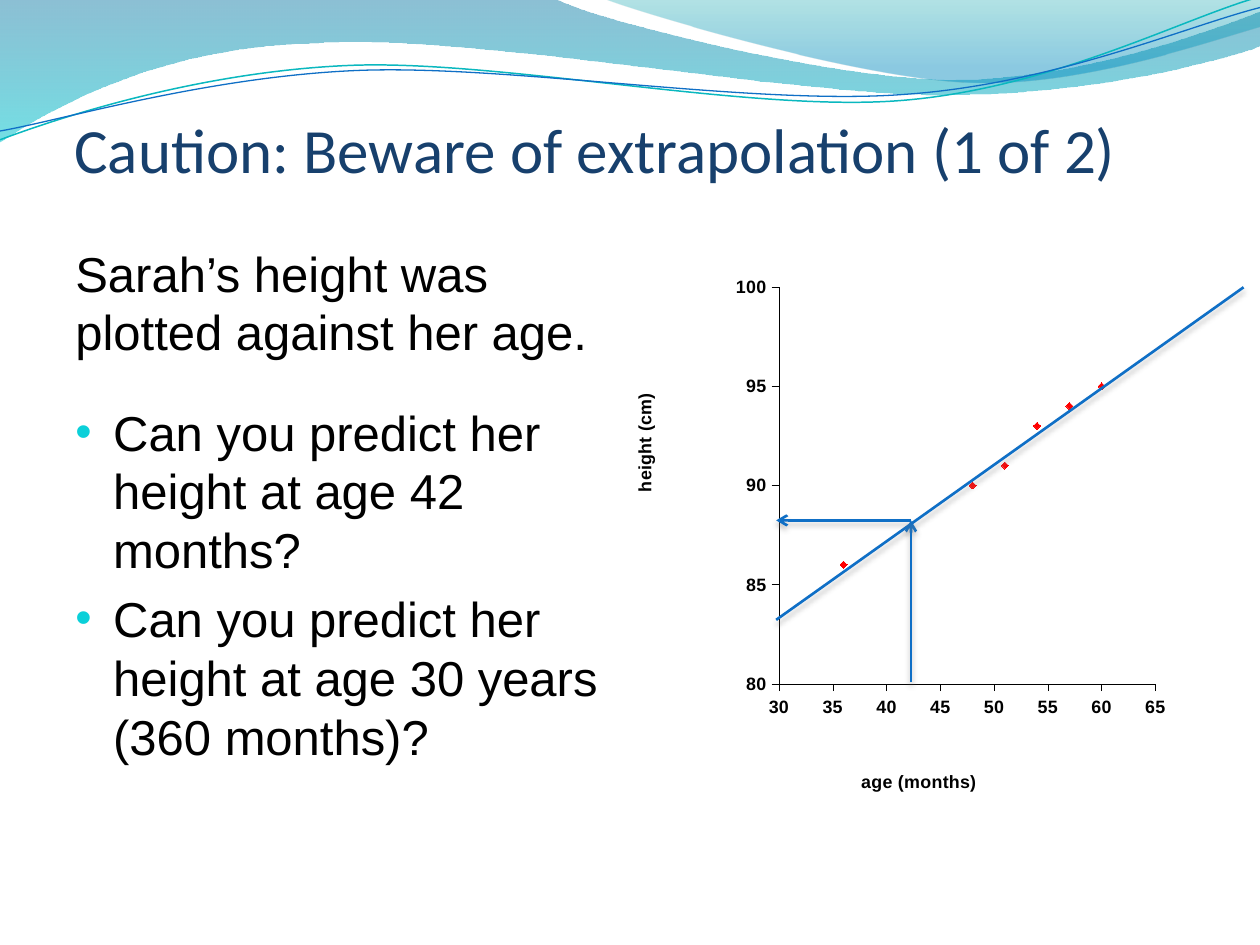
from lxml.etree import SubElement
from pptx import Presentation
from pptx.chart.data import XyChartData
from pptx.dml.color import RGBColor
from pptx.enum.chart import XL_CHART_TYPE, XL_MARKER_STYLE, XL_TICK_MARK
from pptx.enum.shapes import MSO_CONNECTOR
from pptx.enum.text import MSO_ANCHOR
from pptx.oxml import parse_xml
from pptx.oxml.ns import nsdecls, qn
from pptx.util import Inches, Pt

COLORS = {
    "title": "17406D", "text": "000000", "bullet": "0BD0D9", "line": "0F6FC6",
    "teal": "0AB8BF", "marker": "FF0000", "grid": "FFFFFF", "shadow": "808080",
    "wave_top": "0074A1", "wave_bottom": "00C6CF",
    "crest_top": "00A1A9", "crest_bottom": "008BBF",
}
CHART_TEXT = 10.2


def rgb(name):
    return RGBColor.from_string(COLORS[name])


def set_format(obj, **values):
    for name, value in values.items():
        setattr(obj, name, value)


def add_outline(s, start, segments, close):
    """Each segment holds one point (straight) or three (cubic curve)."""
    ends = [start] + [seg[-1] for seg in segments]
    emu = [(Inches(x), Inches(y)) for x, y in ends]
    fb = s.shapes.build_freeform(*emu[0])
    fb.add_line_segments(emu[1:], close=close)
    sp = fb.convert_to_shape()
    sp.shadow.inherit = False
    # Turn the straight steps into curves where control points are given
    steps = list(sp._element.spPr.iter(qn("a:lnTo")))
    for step, seg in zip(steps, segments):
        if len(seg) == 3:
            step.tag = qn("a:cubicBezTo")
            step.remove(step[0])
            for x, y in seg:
                SubElement(step, qn("a:pt"), x=str(Inches(x) - sp.left),
                           y=str(Inches(y) - sp.top))
    return sp


def add_wave(s, start, segments, stops):
    sp = add_outline(s, start, segments, True)
    sp.line.fill.background()
    sp.fill.gradient()
    sp.fill.gradient_angle = 270
    for stop, (position, color, _) in zip(sp.fill.gradient_stops, stops):
        stop.position = position
        stop.color.rgb = rgb(color)
    for clr, (_, _, alpha) in zip(sp._element.spPr.iter(qn("a:srgbClr")), stops):
        SubElement(clr, qn("a:alpha"), val=str(alpha * 1000))


def add_curve(s, start, segments, color, width):
    sp = add_outline(s, start, segments, False)
    sp.fill.background()
    sp.line.color.rgb = rgb(color)
    sp.line.width = Pt(width)


def add_banner(s):
    add_wave(s, (0, 0), [
        [(4.4, -0.01)],
        [(4.76, 0.17), (6.64, 0.63), (7.58, 0.63)],
        [(8.53, 0.63), (9.58, 0.26), (10, 0.09)],
        [(10.01, 0.36)],
        [(9.83, 0.44), (8.7, 0.76), (7.46, 0.75)],
        [(6.22, 0.75), (3.82, 0.28), (2.57, 0.34)],
        [(1.29, 0.36), (0.46, 0.83), (-0.01, 1.13)],
    ], [(0, "wave_top", 45), (1, "wave_bottom", 55)])
    add_wave(s, (4.79, -0.01), [
        [(5.09, 0.11), (6.82, 0.62), (7.69, 0.65)],
        [(8.56, 0.69), (9.61, 0.32), (10, 0.21)],
        [(10, 0)],
    ], [(0, "crest_top", 30), (0.8, "crest_bottom", 45)])
    add_curve(s, (0, 1.11), [
        [(0.48, 0.93), (1.58, 0.57), (2.77, 0.52)],
        [(3.95, 0.47), (5.93, 0.89), (7.13, 0.8)],
        [(8.33, 0.71), (9.38, 0.15), (9.98, -0.02)],
    ], "teal", 0.85)
    add_curve(s, (0, 1.04), [
        [(0.47, 0.96), (1.64, 0.61), (2.83, 0.56)],
        [(4.03, 0.51), (5.97, 0.84), (7.17, 0.75)],
        [(8.36, 0.67), (9.41, 0.21), (10, 0.06)],
    ], "line", 0.75)


def add_run(p, text, font, size, color):
    r = p.add_run()
    r.text = text
    set_format(r.font, name=font, size=Pt(size))
    r.font.color.rgb = rgb(color)


def add_title(s, box, text):
    tf = s.shapes.add_textbox(*map(Inches, box)).text_frame
    set_format(tf, word_wrap=True, vertical_anchor=MSO_ANCHOR.BOTTOM,
               margin_left=0, margin_right=0, margin_bottom=0)
    add_run(tf.paragraphs[0], text, "Calibri", 36, "title")


def add_bullet(p):
    pPr = p._p.get_or_add_pPr()
    pPr.set("marL", str(Inches(0.3)))
    pPr.set("indent", str(-Inches(0.3)))
    SubElement(SubElement(pPr, qn("a:buClr")), qn("a:srgbClr"), val=COLORS["bullet"])
    SubElement(pPr, qn("a:buSzPct"), val="95000")
    SubElement(pPr, qn("a:buFont"), typeface="Arial")
    SubElement(pPr, qn("a:buChar"), char="•")


def add_body(s, box, intro, questions):
    tf = s.shapes.add_textbox(*map(Inches, box)).text_frame
    tf.word_wrap = True
    p = tf.paragraphs[0]
    p.space_after = Pt(18)
    add_run(p, intro, "Arial", 28, "text")
    for question in questions:
        p = tf.add_paragraph()
        add_bullet(p)
        p.space_before = Pt(5.6)
        add_run(p, question, "Arial", 28, "text")


def set_layout(parent, index, **values):
    """Place a chart part by fractions of the chart area."""
    old = parent.find(qn("c:layout"))
    if old is not None:
        parent.remove(old)
    layout = parse_xml(f"<c:layout {nsdecls('c')}><c:manualLayout/></c:layout>")
    for tag, value in values.items():
        SubElement(layout[0], qn(f"c:{tag}"), val=str(value))
    parent.insert(index, layout)


def style_axis(axis, title, low, high, x, y):
    set_format(axis, minimum_scale=low, maximum_scale=high, major_unit=5,
               major_tick_mark=XL_TICK_MARK.OUTSIDE,
               minor_tick_mark=XL_TICK_MARK.NONE, has_major_gridlines=False)
    axis.format.line.color.rgb = rgb("text")
    axis.format.line.width = Pt(0.14)
    p = axis.axis_title.text_frame.paragraphs[0]
    add_run(p, title, "Arial", CHART_TEXT, "text")
    p.runs[0].font.bold = True
    set_layout(axis.axis_title._element, 1, xMode="edge", yMode="edge", x=x, y=y)


def add_height_chart(s, box):
    data = XyChartData()
    series = data.add_series("Series 1")
    for age, height in zip((36, 48, 51, 54, 57, 60), (86, 90, 91, 93, 94, 95)):
        series.add_data_point(age, height)
    chart = s.shapes.add_chart(XL_CHART_TYPE.XY_SCATTER, *map(Inches, box), data).chart
    set_format(chart, has_legend=False, has_title=False)
    set_format(chart.font, name="Arial", size=Pt(CHART_TEXT), bold=True)
    chart.font.color.rgb = rgb("text")
    style_axis(chart.category_axis, "age (months)", 30, 65, 0.42, 0.855)
    style_axis(chart.value_axis, "height (cm)", 80, 100, 0.005, 0.24)
    grid = chart.value_axis.major_gridlines.format.line
    grid.color.rgb = rgb("grid")
    grid.width = Pt(0.56)
    set_layout(chart._chartSpace.chart.plotArea, 0, layoutTarget="inner", xMode="edge",
               yMode="edge", x=0.277, y=0.072, w=0.682, h=0.649)
    chart.plots[0].vary_by_categories = False
    points = chart.plots[0].series[0]
    points.smooth = False
    points.format.line.fill.background()
    set_format(points.marker, style=XL_MARKER_STYLE.DIAMOND, size=4)
    points.marker.format.fill.solid()
    points.marker.format.fill.fore_color.rgb = rgb("marker")
    points.marker.format.line.color.rgb = rgb("marker")


def add_guide(s, start, end, arrow):
    c = s.shapes.add_connector(MSO_CONNECTOR.STRAIGHT, *map(Inches, start + end))
    c.line.color.rgb = rgb("line")
    c.line.width = Pt(1.5)
    if arrow:
        SubElement(c.line._get_or_add_ln(), qn("a:tailEnd"), type="arrow")
    effects = SubElement(c._element.spPr, qn("a:effectLst"))
    shadow = SubElement(effects, qn("a:outerShdw"), blurRad=str(Pt(3)),
                        dist=str(Pt(2.4)), dir="5400000", rotWithShape="0")
    color = SubElement(shadow, qn("a:srgbClr"), val=COLORS["shadow"])
    SubElement(color, qn("a:alpha"), val="45000")


def main():
    prs = Presentation()
    set_format(prs, slide_width=Inches(10), slide_height=Inches(7.5))
    s = prs.slides.add_slide(prs.slide_layouts[6])
    add_banner(s)
    add_title(s, (0.59, 0.54, 8.98, 0.94), "Caution: Beware of extrapolation (1 of 2)")
    add_body(s, (0.5, 1.88, 4.41, 4.54), "Sarah’s height was plotted against her age.",
             ["Can you predict her height at age 42 months?",
              "Can you predict her height at age 30 years (360 months)?"])
    add_height_chart(s, (4.97, 1.93, 4.38, 4.85))
    # Trend line and the reading at 42 months
    add_guide(s, (7.23, 5.41), (7.23, 4.13), True)
    add_guide(s, (6.16, 4.92), (9.87, 2.28), False)
    add_guide(s, (7.23, 4.13), (6.16, 4.13), True)
    prs.save("out.pptx")


if __name__ == "__main__":
    main()
